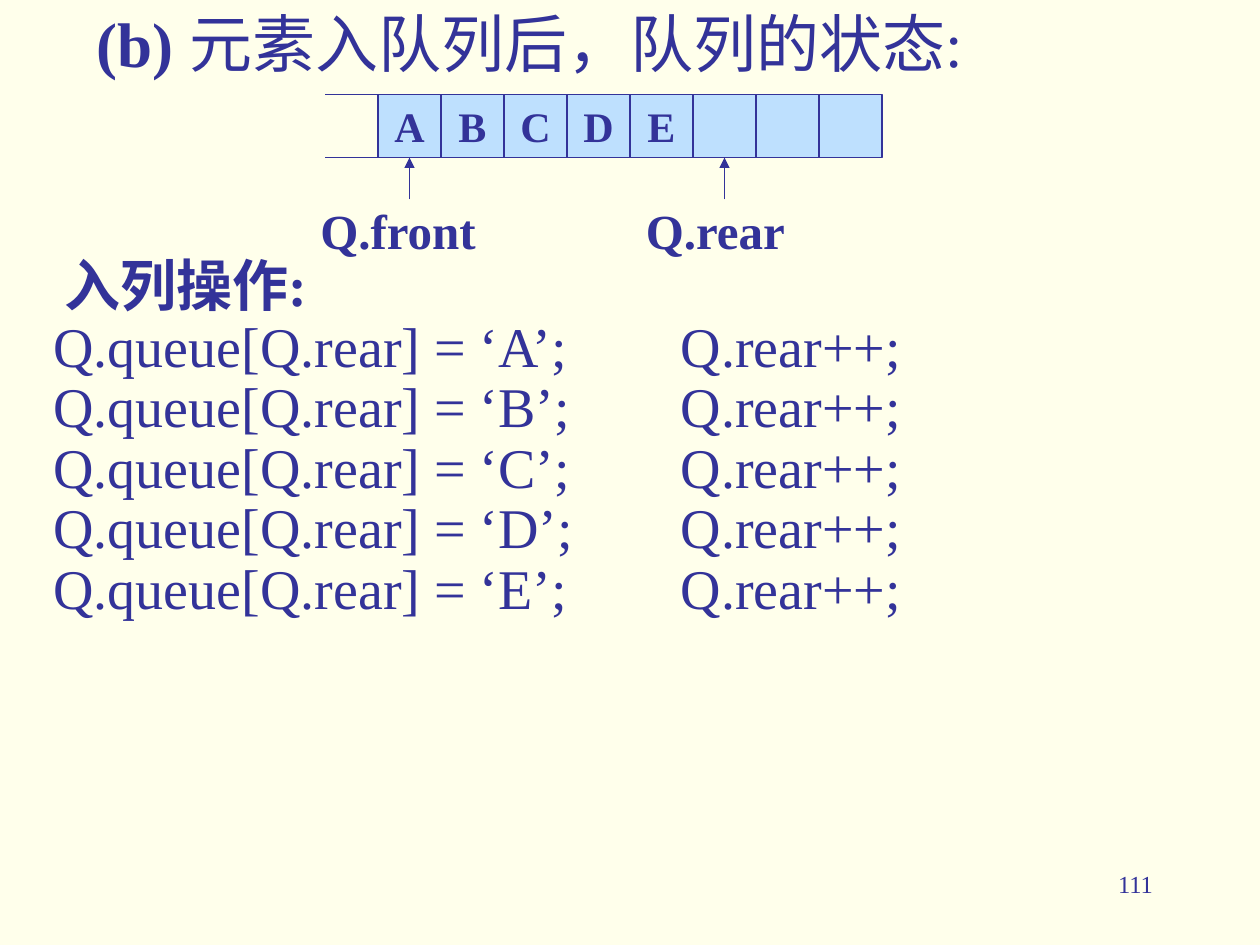
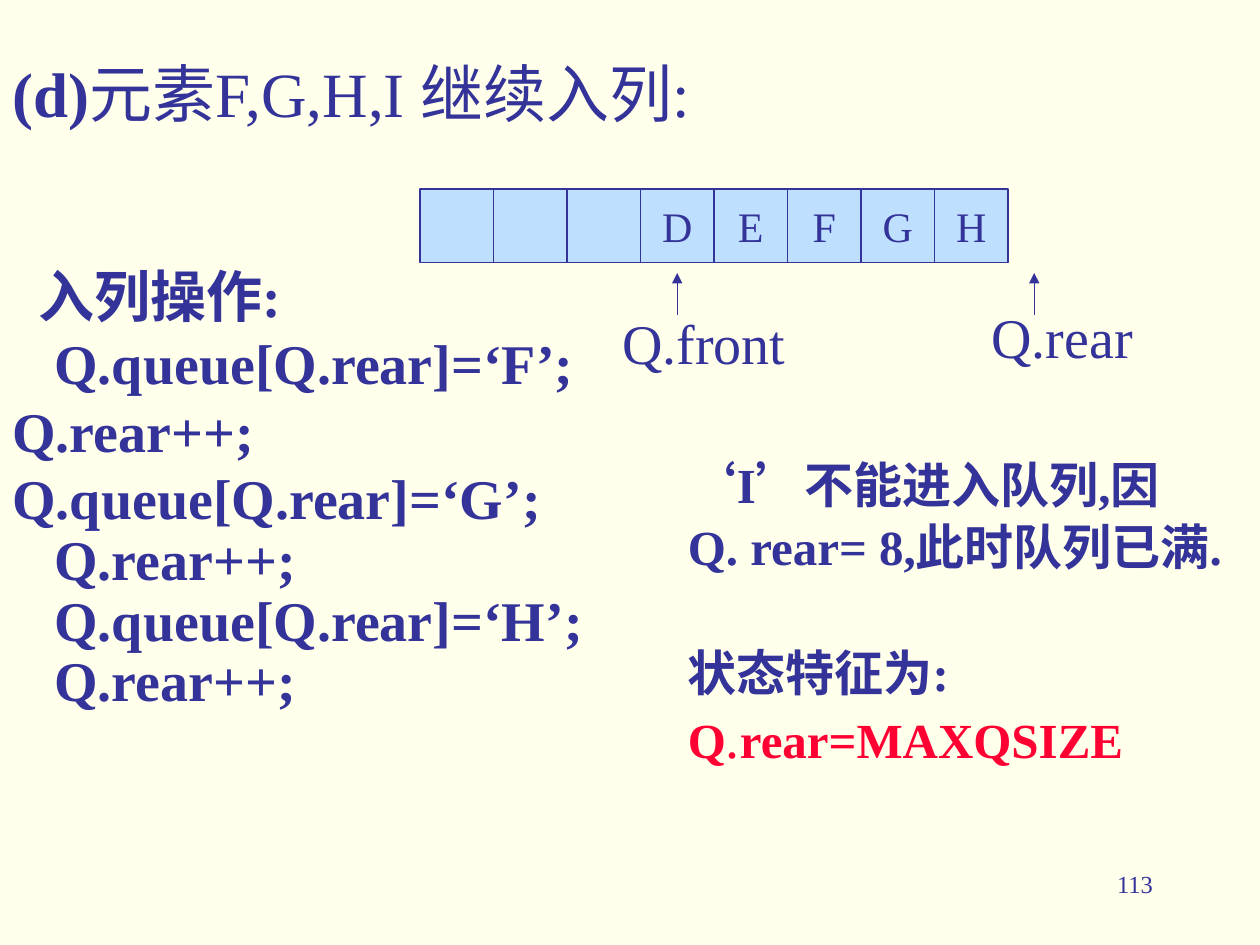
"""Builds two slides showing how elements enter a sequential queue."""
from lxml.etree import SubElement
from pptx import Presentation
from pptx.dml.color import RGBColor
from pptx.enum.shapes import MSO_CONNECTOR, MSO_SHAPE
from pptx.enum.text import MSO_ANCHOR, MSO_AUTO_SIZE, PP_ALIGN
from pptx.oxml.ns import qn
from pptx.util import Pt

CREAM = RGBColor(0xFF, 0xFF, 0xEB)
INDIGO = RGBColor(0x33, 0x33, 0x99)
SKY = RGBColor(0xBE, 0xE0, 0xFE)
RED = RGBColor(0xFF, 0x00, 0x33)
LATIN = "Times New Roman"
HAN = "Noto Sans CJK SC"


def add_run(p, text, size, bold=False, color=INDIGO, latin=LATIN):
    r = p.add_run()
    r.text = text
    r.font.size = Pt(size)
    r.font.bold = bold
    r.font.color.rgb = color
    r.font.name = latin
    SubElement(r._r.get_or_add_rPr(), qn("a:ea")).set("typeface", HAN)


def place_text(sp, left, top, width, height):
    sp.left, sp.top, sp.width, sp.height = Pt(left), Pt(top), Pt(width), Pt(height)
    tf = sp.text_frame
    tf.word_wrap = True
    tf.auto_size = MSO_AUTO_SIZE.NONE
    tf.vertical_anchor = MSO_ANCHOR.TOP
    p = tf.paragraphs[0]
    p.alignment = PP_ALIGN.LEFT
    p.space_before = Pt(0)
    return tf, p


prs = Presentation()
prs.slide_width, prs.slide_height = Pt(720), Pt(540)
prs.slide_master.background.fill.solid()
prs.slide_master.background.fill.fore_color.rgb = CREAM

QUEUES = [
    {
        "number": "111",
        "title": [("(b) ", True), ("元素入队列后，队列的状态:", False)],
        "title_at": (48, 0, 600, 50),
        "cells": ["A", "B", "C", "D", "E", "", "", ""],
        "cells_at": (216, 54, 36), "bold": True,
        "rails": [(216, 54, 186, 54), (216, 90, 186, 90)],
        "arrows": [(234, 114, 234, 90), (414, 114, 414, 90)],
        "labels": [("Q.front", 176, 111), ("Q.rear", 362, 111)], "label_size": 28,
    },
    {
        "number": "113",
        "title": [("(d)", True), ("元素", False), ("F,G,H,I ", False), ("继续入列:", False)],
        "title_at": (0, 29, 480, 50),
        "cells": ["", "", "", "D", "E", "F", "G", "H"],
        "cells_at": (240, 108, 42), "bold": False,
        "rails": [],
        "arrows": [(387, 180, 387, 156), (591, 180, 591, 156)],
        "labels": [("Q.front", 348.5, 172.5), ("Q.rear", 559.5, 169.5)], "label_size": 32,
    },
]

slides = []
for queue in QUEUES:
    s = prs.slides.add_slide(prs.slide_layouts[5])
    slides.append(s)
    tf, p = place_text(s.shapes.title, *queue["title_at"])
    p.line_spacing = Pt(42)
    for text, bold in queue["title"]:
        add_run(p, text, 36, bold)

    left, top, side = queue["cells_at"]
    for i, letter in enumerate(queue["cells"]):
        sp = s.shapes.add_shape(MSO_SHAPE.RECTANGLE, Pt(left + i * side), Pt(top), Pt(side), Pt(side))
        sp.shadow.inherit = False
        sp.fill.solid()
        sp.fill.fore_color.rgb = SKY
        sp.line.color.rgb = INDIGO
        sp.line.width = Pt(0.75)
        if letter:
            tf = sp.text_frame
            tf.word_wrap = False
            tf.vertical_anchor = MSO_ANCHOR.MIDDLE
            tf.paragraphs[0].alignment = PP_ALIGN.CENTER
            add_run(tf.paragraphs[0], letter, 24, queue["bold"])

    for ends in queue["rails"] + queue["arrows"]:
        line = s.shapes.add_connector(MSO_CONNECTOR.STRAIGHT, *[Pt(v) for v in ends])
        line.line.color.rgb = INDIGO
        line.line.width = Pt(0.75)
        if ends in queue["arrows"]:
            SubElement(line.line._get_or_add_ln(), qn("a:tailEnd")).set("type", "triangle")
        SubElement(line._element.spPr, qn("a:effectLst"))

    for text, left, top in queue["labels"]:
        tf, p = place_text(s.shapes.add_textbox(0, 0, 0, 0), left, top, 122, 45)
        add_run(p, text, queue["label_size"], queue["bold"])

    tf, p = place_text(s.shapes.add_textbox(0, 0, 0, 0), 516, 493, 150, 36)
    p.alignment = PP_ALIGN.RIGHT
    add_run(p, queue["number"], 14)

enqueue, overflow = slides

tf, p = place_text(enqueue.shapes.add_textbox(0, 0, 0, 0), 23.5, 143.5, 600, 220)
p.line_spacing = Pt(34.6)
p._p.get_or_add_pPr().set("marL", str(Pt(6)))
add_run(p, "入列操作:", 32, True)
for letter in "ABCDE":
    p = tf.add_paragraph()
    tabs = SubElement(p._p.get_or_add_pPr(), qn("a:tabLst"))
    SubElement(tabs, qn("a:tab"), pos=str(Pt(358.5)), algn="l")
    p.line_spacing = Pt(34.6)
    add_run(p, f"Q.queue[Q.rear] = ‘{letter}’;\tQ.rear++;", 32)

tf, p = place_text(overflow.shapes.add_textbox(0, 0, 0, 0), 0, 149.5, 380, 262)
p.line_spacing = Pt(34.6)
p._p.get_or_add_pPr().set("marL", str(Pt(15)))
add_run(p, "入列操作:", 32, True)
for text, indent, gap in [
    ("Q.queue[Q.rear]=‘F’;", 24, 4),
    ("Q.rear++;", 0, 4),
    ("Q.queue[Q.rear]=‘G’;", 0, 4),
    ("Q.rear++;", 24, 0),
    ("Q.queue[Q.rear]=‘H’;", 24, 0),
    ("Q.rear++;", 24, 0),
]:
    p = tf.add_paragraph()
    p._p.get_or_add_pPr().set("marL", str(Pt(indent)))
    p.line_spacing = Pt(34.6)
    p.space_before = Pt(gap)
    add_run(p, text, 32, True)

tf, p = place_text(overflow.shapes.add_textbox(0, 0, 0, 0), 386, 254.5, 334, 220)
p.line_spacing = Pt(35.5)
for text, latin in [("‘", HAN), ("I", LATIN), ("’", HAN), ("不能进入队列,因", LATIN)]:
    add_run(p, text, 28, True, latin=latin)
for gap, runs in [
    (0, [("Q. rear= 8,", 28, True, INDIGO), ("此时队列已满.", 28, True, INDIGO)]),
    (36, [("状态特征为:", 28, True, INDIGO)]),
    (4, [("Q", 28, True, RED), (".", 32, False, RED), ("rear=MAXQSIZE", 28, True, RED)]),
]:
    p = tf.add_paragraph()
    p.line_spacing = Pt(35.5)
    p.space_before = Pt(gap)
    for run in runs:
        add_run(p, *run)

prs.save("out.pptx")
